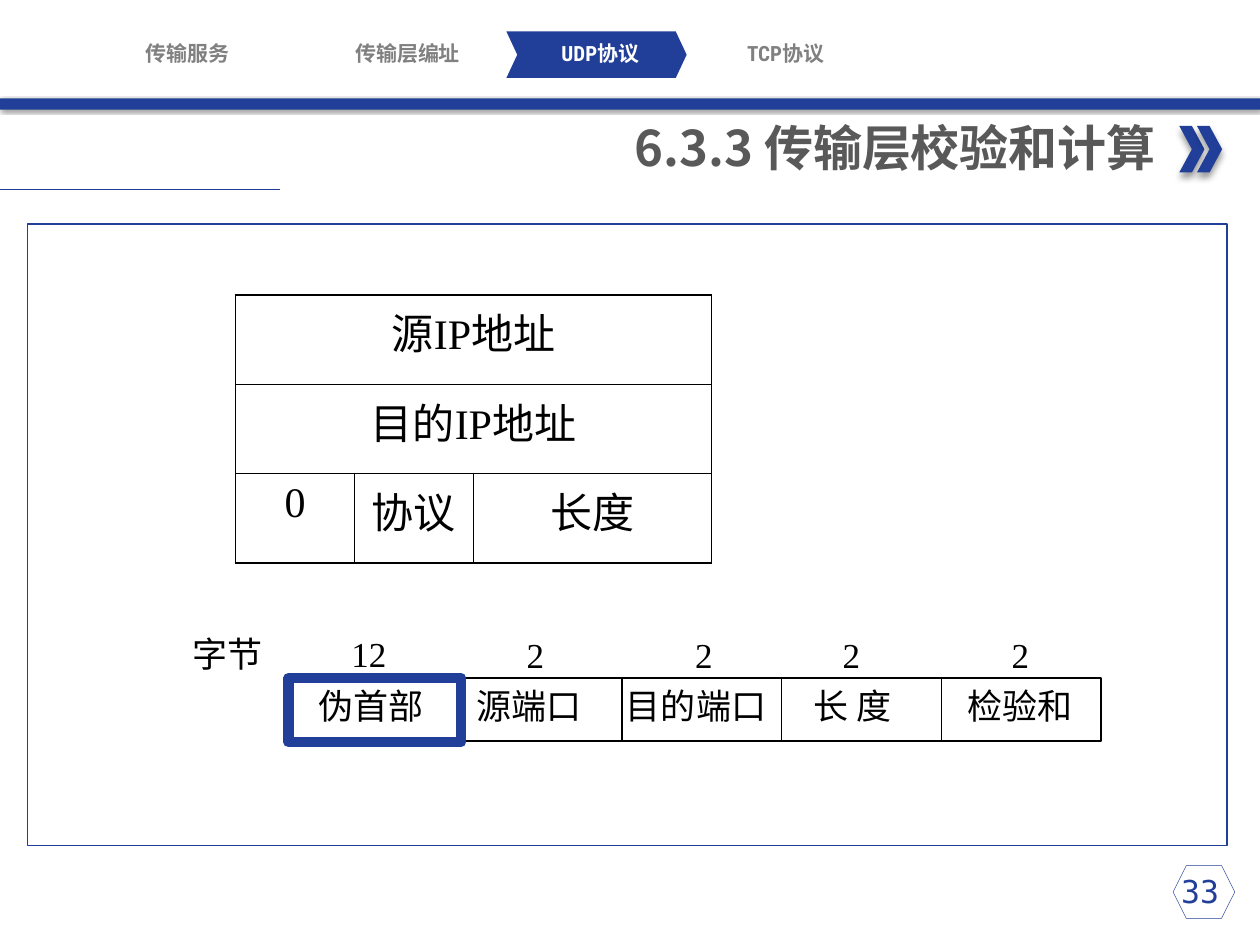
from dataclasses import dataclass

from lxml import etree
from pptx import Presentation
from pptx.dml.color import RGBColor
from pptx.enum.dml import MSO_LINE
from pptx.enum.shapes import MSO_CONNECTOR, MSO_SHAPE
from pptx.enum.text import MSO_ANCHOR, MSO_AUTO_SIZE, PP_ALIGN
from pptx.oxml.ns import qn
from pptx.util import Pt

RECT, CHEVRON, HEXAGON = MSO_SHAPE.RECTANGLE, MSO_SHAPE.CHEVRON, MSO_SHAPE.HEXAGON
STRAIGHT, DASH = MSO_CONNECTOR.STRAIGHT, MSO_LINE.DASH
LEFT, CENTER, RIGHT = PP_ALIGN.LEFT, PP_ALIGN.CENTER, PP_ALIGN.RIGHT
MIDDLE, FIT = MSO_ANCHOR.MIDDLE, MSO_AUTO_SIZE.SHAPE_TO_FIT_TEXT
BLUE, BLACK, WHITE, GRAY, DARK = "213F99", "000000", "FFFFFF", "808080", "595959"
SERIF, SANS, NARROW, MONO = (
    "Times New Roman", "Noto Sans CJK SC", "Roboto Condensed", "DejaVu Sans Mono")


@dataclass
class Box:
    x: float
    y: float
    w: float
    h: float

    def emu(self) -> tuple:
        return Pt(self.x), Pt(self.y), Pt(self.w), Pt(self.h)


@dataclass
class Style:
    font: str
    size: float
    color: str
    bold: bool = False
    align: PP_ALIGN = LEFT


@dataclass
class Label:
    text: str
    x: float
    y: float
    w: float


@dataclass
class Tab:
    text: str
    x: float
    color: str = GRAY


@dataclass
class Shade:
    blur: float
    dist: float
    angle: int


def rgb(code: str) -> RGBColor:
    return RGBColor.from_string(code)


def style_text(par, style: Style) -> None:
    par.alignment = style.align
    font = par.font
    font.name, font.size, font.bold = style.font, Pt(style.size), style.bold
    font.color.rgb = rgb(style.color)


def add_text(slide, text: str, box: Box, style: Style, wrap=True, tight=False, fit=True) -> None:
    frame = slide.shapes.add_textbox(*box.emu()).text_frame
    frame.word_wrap = wrap
    if fit:
        frame.auto_size = FIT
    if tight:
        frame.margin_left = frame.margin_right = frame.margin_top = frame.margin_bottom = 0
        frame.vertical_anchor = MIDDLE
    frame.text = text
    style_text(frame.paragraphs[0], style)


def paint(shape, fill=None, line=None, width=1.0) -> None:
    shape.shadow.inherit = False
    if fill:
        shape.fill.solid()
        shape.fill.fore_color.rgb = rgb(fill)
    else:
        shape.fill.background()
    if line:
        shape.line.color.rgb = rgb(line)
        shape.line.width = Pt(width)
    else:
        shape.line.fill.background()


def add_shape(owner, kind, box: Box, fill=None, line=None, width=1.0):
    shape = owner.shapes.add_shape(kind, *box.emu())
    paint(shape, fill, line, width)
    return shape


def add_shade(shape, shade: Shade) -> None:
    effects = shape._element.spPr.find(qn("a:effectLst"))
    outer = etree.SubElement(effects, qn("a:outerShdw"), blurRad=str(Pt(shade.blur)),
                             dist=str(Pt(shade.dist)), dir=str(shade.angle * 60000),
                             algn="t", rotWithShape="0")
    color = etree.SubElement(outer, qn("a:srgbClr"), val=BLACK)
    etree.SubElement(color, qn("a:alpha"), val="40000")


def add_line(slide, x1: float, y1: float, x2: float, y2: float, color: str, width: float):
    line = slide.shapes.add_connector(STRAIGHT, Pt(x1), Pt(y1), Pt(x2), Pt(y2))
    line.line.color.rgb = rgb(color)
    line.line.width = Pt(width)
    etree.SubElement(line._element.spPr, qn("a:effectLst"))
    return line


def add_edges(cell) -> None:
    props = cell._tc.get_or_add_tcPr()
    for side in ("lnL", "lnR", "lnT", "lnB"):
        edge = etree.SubElement(props, qn(f"a:{side}"), w=str(Pt(1)))
        fill = etree.SubElement(edge, qn("a:solidFill"))
        etree.SubElement(fill, qn("a:srgbClr"), val=BLACK)


def draw_head(slide) -> None:
    bar = add_shape(slide, RECT, Box(0, 56.2, 720, 6.5), BLUE)
    add_shade(bar, Shade(2, 1, 45))
    group = slide.shapes.add_group_shape()
    for x in (673.9, 684):
        mark = add_shape(group, CHEVRON, Box(x, 72, 14.4, 26.6), BLUE)
        add_shade(mark, Shade(4, 3, 90))
    add_text(slide, "6.3.3 传输层校验和计算", Box(54.7, 63.4, 612.7, 41),
             Style(SANS, 28, DARK, True, RIGHT))
    add_line(slide, 0, 108.5, 160, 108.5, BLUE, 0.5)
    active = add_shape(slide, CHEVRON, Box(289.4, 18, 103, 26.6), BLUE)
    active.adjustments[0] = 0.234
    tabs = [Tab("传输服务", 54.7), Tab("传输层编址", 180.7),
            Tab("UDP协议", 290.9, WHITE), Tab("TCP协议", 396.7)]
    for tab in tabs:
        add_text(slide, tab.text, Box(tab.x, 23, 104.4, 14.4),
                 Style(NARROW, 12, tab.color, True, CENTER), tight=True)


def draw_packet(slide) -> None:
    left, top, wide, high = 264.2, 387.4, 365, 36
    start, end = 165.6, top + high
    body = add_shape(slide, RECT, Box(left, top, wide, high), None, BLACK, 1.5)
    for part in (1, 2, 3):
        x = left + wide * part / 4
        line = add_line(slide, x, top, x, end, BLACK, 0.75)
        if part == 2:
            line.begin_connect(body, 0)
            line.end_connect(body, 2)
    path = slide.shapes.build_freeform(Pt(left), Pt(end))
    path.add_line_segments([(Pt(start), Pt(end)), (Pt(start), Pt(top)), (Pt(left), Pt(top))],
                           close=False)
    pseudo = path.convert_to_shape()
    paint(pseudo, None, BLACK, 1.5)
    pseudo.line.dash_style = DASH
    labels = [
        Label("伪首部", 175, top, 74.9), Label("源端口", 265, top, 74.9),
        Label("目的端口", 350.6, top, 95), Label("长 度", 458, top, 62),
        Label("检验和", 545.8, top, 74.9), Label("字节", 103, 357.8, 54.7),
        Label("12", 193.7, 357.8, 34.6),
    ]
    labels += [Label("2", x, 358.6, 24.5) for x in (293.8, 390.2, 474.5, 571)]
    for item in labels:
        add_text(slide, item.text, Box(item.x, item.y, item.w, 31.3),
                 Style(SERIF, 20, BLACK), wrap=False)
    add_shape(slide, RECT, Box(164.9, top, 98.6, 36.7), None, BLUE, 6)


def draw_table(slide) -> None:
    rows = [["源IP地址"], ["目的IP地址"], ["0", "协议", "长度"]]
    table = slide.shapes.add_table(3, 3, *Box(134.6, 168.5, 272, 153.3).emu()).table
    table.first_row = table.horz_banding = False
    for col, width in zip(table.columns, (68, 68, 136)):
        col.width = Pt(width)
    for cell in table.iter_cells():
        add_edges(cell)
        cell.fill.background()
    for r, texts in enumerate(rows):
        table.rows[r].height = Pt(51.1)
        if len(texts) == 1:
            table.cell(r, 0).merge(table.cell(r, 2))
        for c, text in enumerate(texts):
            frame = table.cell(r, c).text_frame
            frame.text = text
            style_text(frame.paragraphs[0], Style(SERIF, 24, BLACK, align=CENTER))


def main() -> None:
    deck = Presentation()
    deck.slide_width, deck.slide_height = Pt(720), Pt(540)
    slide = deck.slides.add_slide(deck.slide_layouts[6])
    add_shape(slide, HEXAGON, Box(670.3, 494.6, 35.3, 30.2), None, BLUE, 0.25)
    add_text(slide, "33", Box(654.5, 494.6, 62.6, 28.8),
             Style(MONO, 18, BLUE, align=CENTER), fit=False)
    draw_head(slide)
    draw_packet(slide)
    draw_table(slide)
    add_shape(slide, RECT, Box(15.8, 128.2, 685.4, 355), None, BLUE, 1)
    deck.save("out.pptx")


if __name__ == "__main__":
    main()
